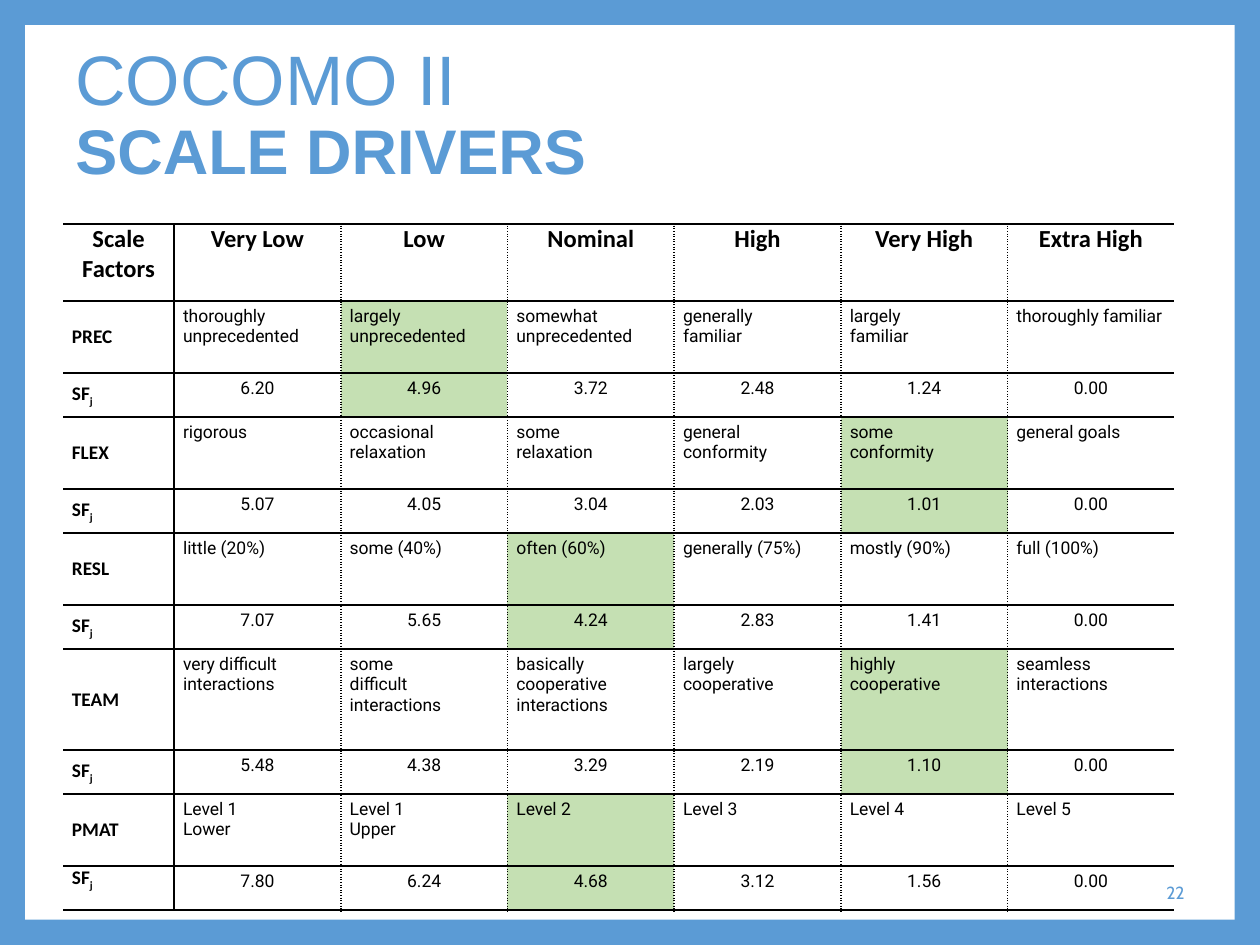
from lxml import etree
from pptx import Presentation
from pptx import util as u
from pptx.dml.color import RGBColor
from pptx.enum import shapes, text
from pptx.oxml import ns

BLUE = RGBColor(0x5B, 0x9B, 0xD5)
GREEN = RGBColor(0xC5, 0xE0, 0xB3)
BLACK = RGBColor(0, 0, 0)
WHITE = RGBColor(255, 255, 255)

LEFT, CENTER, RIGHT = text.PP_ALIGN.LEFT, text.PP_ALIGN.CENTER, text.PP_ALIGN.RIGHT
TOP, MIDDLE = text.MSO_ANCHOR.TOP, text.MSO_ANCHOR.MIDDLE
PLAIN_STYLE = "{2D5ABB26-0587-4C30-8999-92F81FD0307C}"
SOLID, DOTTED = (1.5, "solid"), (1, "dot")

# Text formats
TITLE = dict(name="Arial", size=u.Pt(40), bold=False, color=BLUE)
SUBTITLE = dict(TITLE, size=u.Pt(36), bold=True)
HEADER = dict(name="Calibri", size=u.Pt(14), bold=True, color=BLACK)
FACTOR = dict(HEADER, size=u.Pt(11))
SUBSCRIPT = dict(FACTOR, baseline=-25000)
BODY = dict(name="Roboto", size=u.Pt(10), bold=False, color=BLACK)
NUMBER = dict(name="Cabin", size=u.Pt(10), bold=False, color=BLUE)

LEVELS = ["Very Low", "Low", "Nominal", "High", "Very High", "Extra High"]

# Factor, chosen level, ratings (one line per "|"), values
FACTORS = [
    ("PREC", "Low",
     ["thoroughly|unprecedented", "largely|unprecedented", "somewhat|unprecedented",
      "generally|familiar", "largely|familiar", "thoroughly familiar"],
     ["6.20", "4.96", "3.72", "2.48", "1.24", "0.00"]),
    ("FLEX", "Very High",
     ["rigorous", "occasional|relaxation", "some|relaxation",
      "general|conformity", "some|conformity", "general goals"],
     ["5.07", "4.05", "3.04", "2.03", "1.01", "0.00"]),
    ("RESL", "Nominal",
     ["little (20%)", "some (40%)", "often (60%)",
      "generally (75%)", "mostly (90%)", "full (100%)"],
     ["7.07", "5.65", "4.24", "2.83", "1.41", "0.00"]),
    ("TEAM", "Very High",
     ["very difficult|interactions", "some|difficult|interactions",
      "basically|cooperative|interactions", "largely|cooperative",
      "highly|cooperative", "seamless|interactions"],
     ["5.48", "4.38", "3.29", "2.19", "1.10", "0.00"]),
    ("PMAT", "Nominal",
     ["Level 1|Lower", "Level 1|Upper", "Level 2", "Level 3", "Level 4", "Level 5"],
     ["7.80", "6.24", "4.68", "3.12", "1.56", "0.00"]),
]


class SlideBuilder:
    def __init__(self, page):
        self.page = page

    def background(self, color):
        fill = self.page.background.fill
        fill.solid()
        fill.fore_color.rgb = color

    def panel(self, left, top, width, height, color):
        box = self.page.shapes.add_shape(
            shapes.MSO_SHAPE.RECTANGLE, *map(u.Cm, (left, top, width, height)))
        box.shadow.inherit = False
        box.fill.solid()
        box.fill.fore_color.rgb = color
        box.line.fill.background()

    def span(self, para, words, style):
        span = para.add_run()
        span.text = words
        for key, value in style.items():
            if key == "color":
                span.font.color.rgb = value
            elif key == "baseline":
                span._r.get_or_add_rPr().set("baseline", str(value))
            else:
                setattr(span.font, key, value)

    def paragraphs(self, frame, lines, align=LEFT):
        """Fill a frame with paragraphs, each a list of (words, style)."""
        for i, spans in enumerate(lines):
            para = frame.add_paragraph() if i else frame.paragraphs[0]
            para.alignment = align
            for words, style in spans:
                if words == "\n":
                    para.add_line_break()
                else:
                    self.span(para, words, style)

    def text_box(self, left, top, width, height, lines, align=LEFT, spacing=1.0):
        box = self.page.shapes.add_textbox(*map(u.Cm, (left, top, width, height)))
        frame = box.text_frame
        frame.word_wrap = True
        frame.vertical_anchor = MIDDLE
        self.paragraphs(frame, lines, align)
        for para in frame.paragraphs:
            para.line_spacing = spacing

    def table(self, left, top, widths, heights):
        frame = self.page.shapes.add_table(
            len(heights), len(widths), u.Cm(left), u.Cm(top),
            u.Cm(sum(widths)), u.Cm(sum(heights)))
        grid = frame.table
        grid.first_row = grid.horz_banding = False
        grid._tbl.tblPr.find(ns.qn("a:tableStyleId")).text = PLAIN_STYLE
        for column, width in zip(grid.columns, widths):
            column.width = u.Cm(width)
        for row, height in zip(grid.rows, heights):
            row.height = u.Cm(height)
        return grid

    def border(self, cell, side, weight, dash):
        line = etree.SubElement(cell._tc.get_or_add_tcPr(), ns.qn("a:ln" + side),
                                w=str(u.Pt(weight)))
        fill = etree.SubElement(line, ns.qn("a:solidFill"))
        etree.SubElement(fill, ns.qn("a:srgbClr"), val=str(BLACK))
        etree.SubElement(line, ns.qn("a:prstDash"), val=dash)

    def cell(self, cell, lines, borders, align=LEFT, anchor=TOP, inset=0.0, color=None):
        formats = dict(margin_left=0.18, margin_right=0.18,
                       margin_top=inset, margin_bottom=inset)
        for key, value in formats.items():
            setattr(cell, key, u.Cm(value))
        cell.vertical_anchor = anchor
        self.paragraphs(cell.text_frame, lines, align)
        for side, kind in borders.items():
            self.border(cell, side, *kind)
        if color is None:
            cell.fill.background()
        else:
            cell.fill.solid()
            cell.fill.fore_color.rgb = color


def cell_borders(row, column):
    """Rules frame each factor's pair of rows; dots part the levels."""
    borders = {}
    if column:
        borders["L"] = SOLID if column == 1 else DOTTED
    if column < len(LEVELS):
        borders["R"] = DOTTED if column else SOLID
    if row == 0 or row % 2:
        borders["T"] = SOLID
    if row % 2 == 0:
        borders["B"] = SOLID
    return borders


def main():
    deck = Presentation()
    deck.slide_width, deck.slide_height = u.Cm(25.4), u.Cm(19.05)
    page = deck.slides.add_slide(deck.slide_layouts[6])
    builder = SlideBuilder(page)

    # Frame and title
    builder.background(BLUE)
    builder.panel(0.51, 0.51, 24.38, 18.03, WHITE)
    builder.text_box(1.27, 0.76, 22.86, 3.18, [
        [("COCOMO II", TITLE), ("\n", TITLE), ("SCALE DRIVERS", SUBTITLE)]], spacing=0.9)

    # Table grid: a header, then a rating row and a value row per factor
    heights = [1.55]
    for name, *_ in FACTORS:
        heights += [2.03 if name == "TEAM" else 1.45, 0.89]
    grid = builder.table(1.27, 4.52, [2.24] + [3.36] * len(LEVELS), heights)

    # Header row
    for column, name in enumerate(["Scale Factors"] + LEVELS):
        builder.cell(grid.cell(0, column), [[(name, HEADER)]],
                     cell_borders(0, column), CENTER)

    # Factor rows
    for i, (name, chosen, ratings, values) in enumerate(FACTORS):
        row = 2 * i + 1
        builder.cell(grid.cell(row, 0), [[(name, FACTOR)]],
                     cell_borders(row, 0), anchor=MIDDLE)
        builder.cell(grid.cell(row + 1, 0), [[("SF", FACTOR), ("j", SUBSCRIPT)]],
                     cell_borders(row + 1, 0), anchor=TOP if name == "PMAT" else MIDDLE)
        for column, (level, rating, value) in enumerate(zip(LEVELS, ratings, values), 1):
            color = GREEN if level == chosen else None
            for r, words, align in ((row, rating, LEFT), (row + 1, value, CENTER)):
                lines = [[(line, BODY)] for line in words.split("|")]
                builder.cell(grid.cell(r, column), lines, cell_borders(r, column),
                             align, inset=0.1, color=color)

    # Page number
    builder.text_box(18.21, 17.35, 5.92, 1.27, [[("22", NUMBER)]], RIGHT)

    deck.save("out.pptx")


if __name__ == "__main__":
    main()
